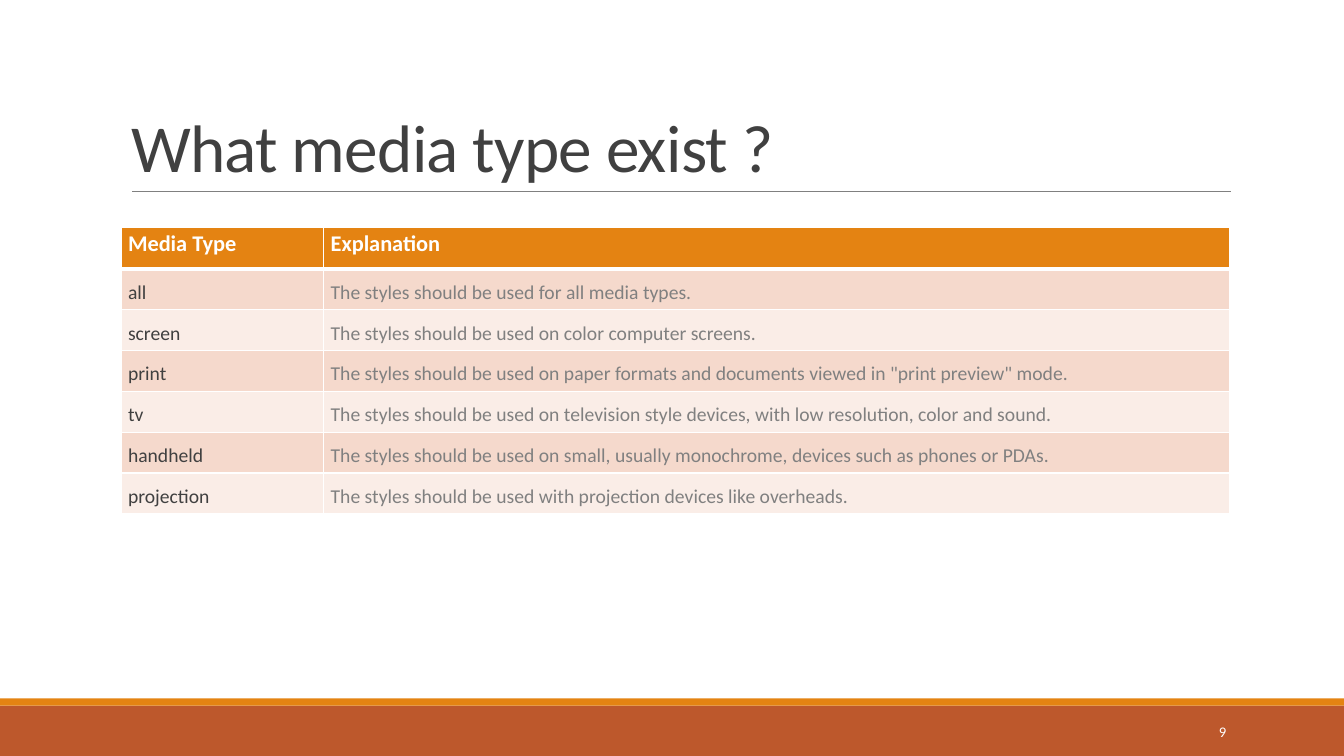
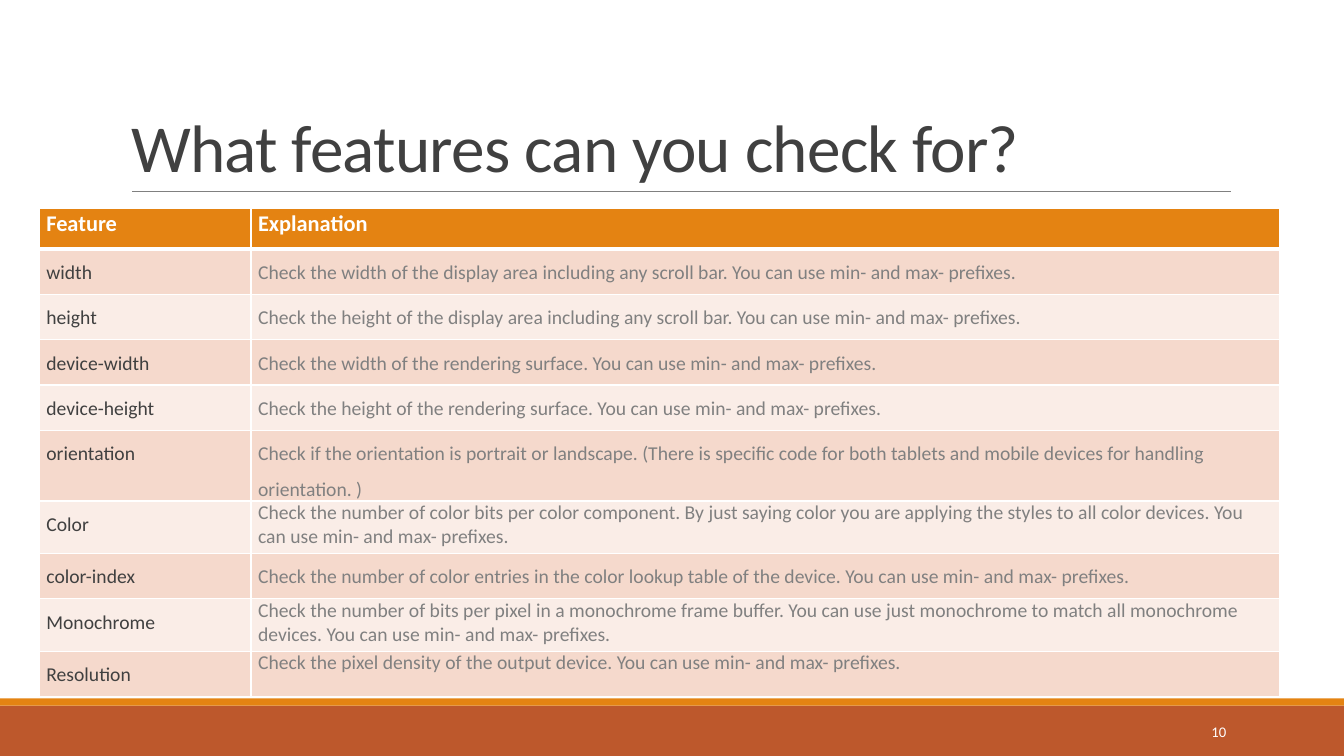
from dataclasses import dataclass

from lxml import etree
from pptx import Presentation
from pptx.dml.color import RGBColor
from pptx.enum.shapes import MSO_CONNECTOR, MSO_SHAPE
from pptx.enum.text import MSO_ANCHOR, MSO_AUTO_SIZE, PP_ALIGN
from pptx.oxml.ns import qn
from pptx.util import Inches, Pt

RECTANGLE = MSO_SHAPE.RECTANGLE
STRAIGHT = MSO_CONNECTOR.STRAIGHT
BOTTOM, MIDDLE = MSO_ANCHOR.BOTTOM, MSO_ANCHOR.MIDDLE
LEFT, RIGHT = PP_ALIGN.LEFT, PP_ALIGN.RIGHT
NO_FIT = MSO_AUTO_SIZE.NONE
TITLE_ONLY = 5
SLIDE_W, SLIDE_H = 13.33, 7.5


@dataclass(frozen=True)
class Theme:
    font: str = "Calibri"
    rust: str = "BD582C"
    orange: str = "E48312"
    dark: str = "404040"
    grey: str = "808080"
    white: str = "FFFFFF"
    bands: tuple = ("F5D9CC", "FAEDE7")
    title_size: float = 48
    header_size: float = 16
    body_size: float = 14
    number_size: float = 10.5


THEME = Theme()

MEDIA_TYPES = [
    ("Media Type", "Explanation"),
    ("all", "The styles should be used for all media types."),
    ("screen", "The styles should be used on color computer screens."),
    ("print", "The styles should be used on paper formats and documents "
              "viewed in \"print preview\" mode."),
    ("tv", "The styles should be used on television style devices, "
           "with low resolution, color and sound."),
    ("handheld", "The styles should be used on small, usually monochrome, "
                 "devices such as phones or PDAs."),
    ("projection", "The styles should be used with projection devices like overheads."),
]

FEATURES = [
    ("Feature", "Explanation"),
    ("width", "Check the width of the display area including any scroll bar. "
              "You can use min- and max- prefixes."),
    ("height", "Check the height of the display area including any scroll bar. "
               "You can use min- and max- prefixes."),
    ("device-width", "Check the width of the rendering surface. "
                     "You can use min- and max- prefixes."),
    ("device-height", "Check the height of the rendering surface. "
                      "You can use min- and max- prefixes."),
    ("orientation", "Check if the orientation is portrait or landscape. "
                    "(There is specific code for both tablets and mobile devices "
                    "for handling orientation. )"),
    ("Color", "Check the number of color bits per color component. By just saying "
              "color you are applying the styles to all color devices. "
              "You can use min- and max- prefixes."),
    ("color-index", "Check the number of color entries in the color lookup table "
                    "of the device. You can use min- and max- prefixes."),
    ("Monochrome", "Check the number of bits per pixel in a monochrome frame buffer. "
                   "You can use just monochrome to match all monochrome devices. "
                   "You can use min- and max- prefixes."),
    ("Resolution", "Check the pixel density of the output device. "
                   "You can use min- and max- prefixes."),
]
SINGLE_SPACED = {"Color", "Monochrome", "Resolution"}


def rgb(value):
    return RGBColor.from_string(value)


def add_run(paragraph, text, size, color, bold=False):
    run = paragraph.add_run()
    run.text = text
    run.font.name = THEME.font
    run.font.size = Pt(size)
    run.font.bold = bold
    run.font.color.rgb = rgb(color)
    return run


def add_band(slide, top, height, color):
    band = slide.shapes.add_shape(
        RECTANGLE, 0, Inches(top), Inches(SLIDE_W), Inches(height))
    band.shadow.inherit = False
    band.fill.solid()
    band.fill.fore_color.rgb = rgb(color)
    band.line.fill.background()


def add_footer(slide, number, top=6.93, stripe=0.07):
    # Bands
    base = top + stripe
    add_band(slide, base, SLIDE_H - base, THEME.rust)
    add_band(slide, top, stripe, THEME.orange)
    # Slide number
    box = slide.shapes.add_textbox(
        Inches(10.83), Inches(base + 0.06), Inches(1.43), Inches(0.4))
    frame = box.text_frame
    frame.word_wrap = True
    frame.vertical_anchor = MIDDLE
    paragraph = frame.paragraphs[0]
    paragraph.alignment = RIGHT
    add_run(paragraph, str(number), THEME.number_size, THEME.white)


def add_title(slide, text, left=1.2, top=0.31, width=11, height=1.59):
    # Title text
    title = slide.shapes.title
    title.left, title.top = Inches(left), Inches(top)
    title.width, title.height = Inches(width), Inches(height)
    frame = title.text_frame
    frame.word_wrap = True
    frame.auto_size = NO_FIT
    frame.vertical_anchor = BOTTOM
    paragraph = frame.paragraphs[0]
    paragraph.alignment = LEFT
    paragraph.line_spacing = 0.85
    run = add_run(paragraph, text, THEME.title_size, THEME.dark)
    run.font._element.set("spc", "-50")
    # Rule under the title
    baseline = Inches(top + height)
    rule = slide.shapes.add_connector(
        STRAIGHT, Inches(left + 0.11), baseline, Inches(left + width + 0.01), baseline)
    rule.line.color.rgb = rgb(THEME.grey)
    rule.line.width = Pt(0.5)
    etree.SubElement(rule._element.spPr, qn("a:effectLst"))


def set_borders(cell, **widths):
    properties = cell._tc.get_or_add_tcPr()
    for side in "LRTB":
        line = etree.SubElement(properties, qn(f"a:ln{side}"),
                                w=str(Pt(widths.get(side, 1))))
        fill = etree.SubElement(line, qn("a:solidFill"))
        etree.SubElement(fill, qn("a:srgbClr"), val=THEME.white)


def fill_cell(cell, text, fill, size, color, spacing, bold=False, after=0):
    cell.margin_left = cell.margin_right = Inches(0.07)
    cell.margin_top = cell.margin_bottom = 0
    cell.fill.solid()
    cell.fill.fore_color.rgb = rgb(fill)
    paragraph = cell.text_frame.paragraphs[0]
    paragraph.line_spacing = spacing
    paragraph.space_after = Pt(after)
    add_run(paragraph, text, size, color, bold)


def add_glossary(slide, rows, left, top, columns, heights, after=0):
    table = slide.shapes.add_table(
        len(rows), len(columns), Inches(left), Inches(top),
        Inches(sum(columns)), Inches(sum(heights))).table
    table.horz_banding = False
    for column, width in zip(table.columns, columns):
        column.width = Inches(width)
    for row, height in zip(table.rows, heights):
        row.height = Inches(height)

    # Header row
    for index, heading in enumerate(rows[0]):
        cell = table.cell(0, index)
        set_borders(cell, B=3)
        fill_cell(cell, heading, THEME.orange, THEME.header_size,
                  THEME.white, 1.07, bold=True)

    # Terms with their explanations
    for index, (term, explanation) in enumerate(rows[1:], 1):
        band = THEME.bands[(index - 1) % 2]
        term_cell, explanation_cell = table.cell(index, 0), table.cell(index, 1)
        for cell in (term_cell, explanation_cell):
            set_borders(cell, T=3 if index == 1 else 1)
        fill_cell(term_cell, term, band, THEME.body_size, THEME.dark, 1.5)
        fill_cell(explanation_cell, explanation, band, THEME.body_size, THEME.grey,
                  1.0 if term in SINGLE_SPACED else 1.5, after=after)


def add_glossary_slide(prs, number, title, rows, **table_box):
    slide = prs.slides.add_slide(prs.slide_layouts[TITLE_ONLY])
    add_footer(slide, number)
    add_title(slide, title)
    add_glossary(slide, rows, **table_box)


def main():
    prs = Presentation()
    prs.slide_width, prs.slide_height = Inches(SLIDE_W), Inches(SLIDE_H)

    add_glossary_slide(
        prs, 9, "What media type exist ?", MEDIA_TYPES,
        left=1.2, top=2.26, columns=(2.01, 8.99),
        heights=[2.84 / len(MEDIA_TYPES)] * len(MEDIA_TYPES))

    two_line_terms = {"Color", "Monochrome"}
    feature_heights = [0.4] + [0.52 if term in two_line_terms else 0.45
                               for term, _ in FEATURES[1:]]
    add_glossary_slide(
        prs, 10, "What features can you check for?", FEATURES,
        left=0.39, top=2.07, columns=(2.1, 10.2),
        heights=feature_heights, after=8)

    prs.save("out.pptx")


if __name__ == "__main__":
    main()
